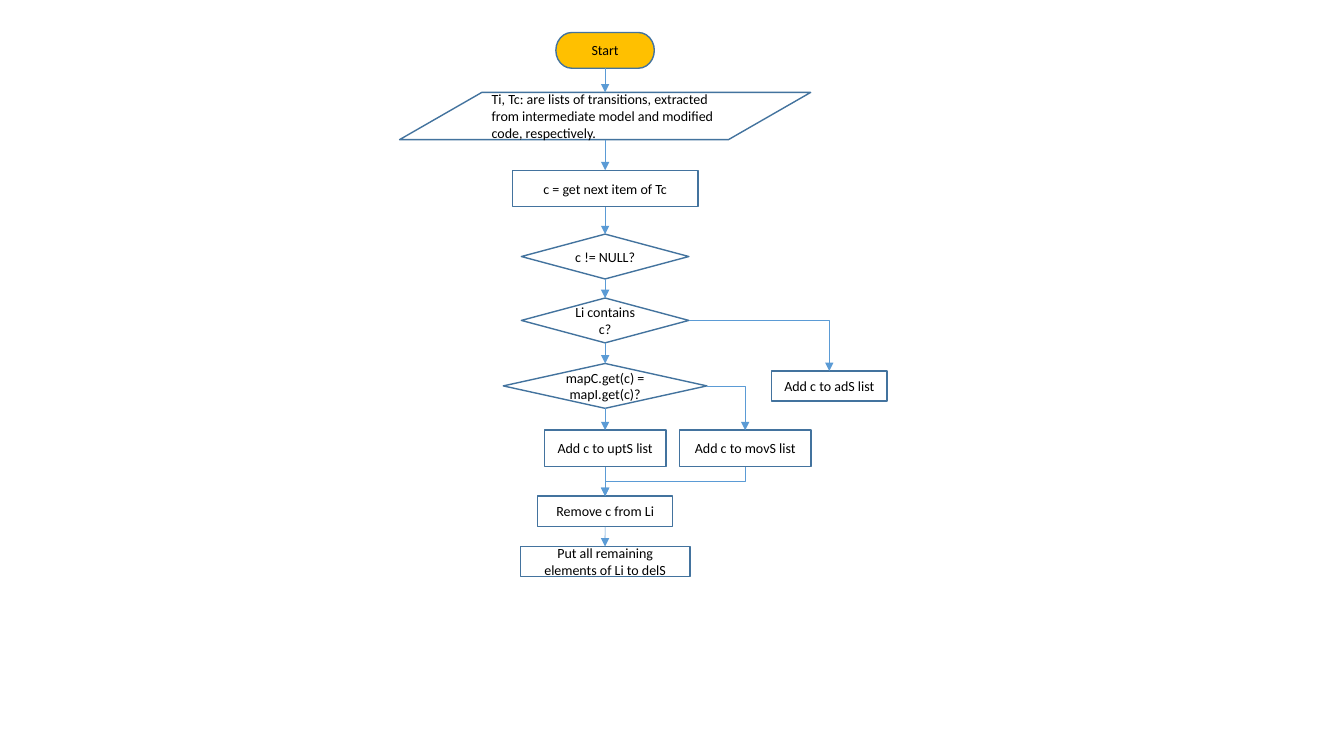
"""Flowchart that sorts code transitions into added, updated, moved and deleted lists."""
from dataclasses import dataclass
from typing import Optional

from lxml.etree import SubElement
from pptx import Presentation
from pptx.dml.color import RGBColor
from pptx.enum.shapes import MSO_CONNECTOR as Route, MSO_SHAPE as Kind
from pptx.enum.text import MSO_ANCHOR as Anchor, PP_ALIGN as Align
from pptx.oxml.ns import qn
from pptx.util import Cm, Pt

TOP, BOTTOM, RIGHT = 0, 2, 3


@dataclass(frozen=True)
class Theme:
    """Colours, font and sizes of the flowchart."""
    outline: RGBColor = RGBColor(0x43, 0x73, 0x9E)
    arrow: RGBColor = RGBColor(0x5B, 0x9B, 0xD5)
    start: RGBColor = RGBColor(0xFF, 0xC0, 0x00)
    ink: RGBColor = RGBColor(0, 0, 0)
    font: str = "Calibri"
    text_size: Pt = Pt(10)
    outline_width: Pt = Pt(1)
    arrow_width: Pt = Pt(0.5)


@dataclass(frozen=True)
class Step:
    """One box of the flowchart, measured in centimetres."""
    name: str
    kind: Kind
    text: str
    top: float
    width: float
    height: float
    centre: float = 15.25
    fill: Optional[RGBColor] = None
    align: Align = Align.CENTER


@dataclass(frozen=True)
class Link:
    """An arrow between two steps, with its preset when it bends."""
    source: str
    target: str
    exit_side: int = BOTTOM
    bend: Optional[str] = None


THEME = Theme()
PROCESS, DECISION = Kind.FLOWCHART_PROCESS, Kind.FLOWCHART_DECISION

STEPS = [
    Step("start", Kind.FLOWCHART_TERMINATOR, "Start", 0.82, 2.48, 0.9, fill=THEME.start),
    Step("inputs", Kind.FLOWCHART_DATA,
         "Ti, Tc: are lists of transitions, extracted from intermediate model "
         "and modified code, respectively.", 2.33, 10.36, 1.19, align=Align.LEFT),
    Step("next", PROCESS, "c = get next item of Tc", 4.29, 4.68, 0.92),
    Step("not_null", DECISION, "c != NULL?", 5.9, 4.22, 1.13),
    Step("contains", DECISION, "Li contains c?", 7.51, 4.22, 1.13),
    Step("same", DECISION, "mapC.get(c) = mapI.get(c)?", 9.16, 5.13, 1.13),
    Step("update", PROCESS, "Add c to uptS list", 10.84, 3.06, 0.92),
    Step("remove", PROCESS, "Remove c from Li", 12.5, 3.4, 0.77),
    Step("delete", PROCESS, "Put all remaining elements of Li to delS", 13.77, 4.27, 0.76),
    Step("move", PROCESS, "Add c to movS list", 10.84, 3.31, 0.92, centre=18.78),
    Step("add", PROCESS, "Add c to adS list", 9.35, 2.9, 0.76, centre=20.9),
]
SPINE = [step.name for step in STEPS[:9]]
LINKS = [Link(source, target) for source, target in zip(SPINE, SPINE[1:])] + [
    Link("same", "move", RIGHT, "bentConnector2"),
    Link("contains", "add", RIGHT, "bentConnector2"),
    Link("move", "remove", BOTTOM, "bentConnector3"),
]


def draw_step(page, step: Step):
    """Draw one labelled box and return its shape."""
    box = page.shapes.add_shape(step.kind, Cm(step.centre - step.width / 2), Cm(step.top),
                                Cm(step.width), Cm(step.height))
    box.shadow.inherit = False
    if step.fill is None:
        box.fill.background()
    else:
        box.fill.solid()
        box.fill.fore_color.rgb = step.fill
    box.line.color.rgb = THEME.outline
    box.line.width = THEME.outline_width
    frame = box.text_frame
    frame.text = step.text
    frame.word_wrap = True
    frame.vertical_anchor = Anchor.MIDDLE
    para = frame.paragraphs[0]
    para.alignment = step.align
    for span in para.runs:
        span.font.name = THEME.font
        span.font.size = THEME.text_size
        span.font.color.rgb = THEME.ink
    return box


def port(step: Step, side: int) -> tuple[Cm, Cm]:
    """Return the middle of one side of a step."""
    if side == RIGHT:
        return Cm(step.centre + step.width / 2), Cm(step.top + step.height / 2)
    return Cm(step.centre), Cm(step.top + (step.height if side == BOTTOM else 0))


def turn_downward(connector) -> None:
    """Rotate a three-part elbow so that it leaves and arrives vertically."""
    left, top = connector.left, connector.top
    width, height = connector.width, connector.height
    connector.left = left + (width - height) // 2
    connector.top = top + (height - width) // 2
    connector.width, connector.height = height, width
    transform = connector.element.spPr.find(qn("a:xfrm"))
    transform.attrib.pop("flipH", None)
    transform.set("rot", "5400000")


def draw_link(page, link: Link, steps: dict, boxes: dict) -> None:
    """Draw one arrow, attached to the boxes that have four side ports."""
    source, target = steps[link.source], steps[link.target]
    route = Route.ELBOW if link.bend else Route.STRAIGHT
    connector = page.shapes.add_connector(route, *port(source, link.exit_side),
                                          *port(target, TOP))
    if source.kind != Kind.FLOWCHART_DATA:
        connector.begin_connect(boxes[source.name], link.exit_side)
    if target.kind != Kind.FLOWCHART_DATA:
        connector.end_connect(boxes[target.name], TOP)
    connector.line.color.rgb = THEME.arrow
    connector.line.width = THEME.arrow_width
    properties = connector.element.spPr
    if link.bend:
        properties.find(qn("a:prstGeom")).set("prst", link.bend)
    if link.bend == "bentConnector3":
        turn_downward(connector)
    SubElement(properties.find(qn("a:ln")), qn("a:tailEnd")).set("type", "triangle")
    SubElement(properties, qn("a:effectLst"))


def main() -> None:
    """Build the slide and save it."""
    deck = Presentation()
    deck.slide_width, deck.slide_height = Cm(33.87), Cm(19.05)
    page = deck.slides.add_slide(deck.slide_layouts[6])
    steps = {step.name: step for step in STEPS}
    boxes = {step.name: draw_step(page, step) for step in STEPS}
    for link in LINKS:
        draw_link(page, link, steps, boxes)
    deck.save("out.pptx")


main()
